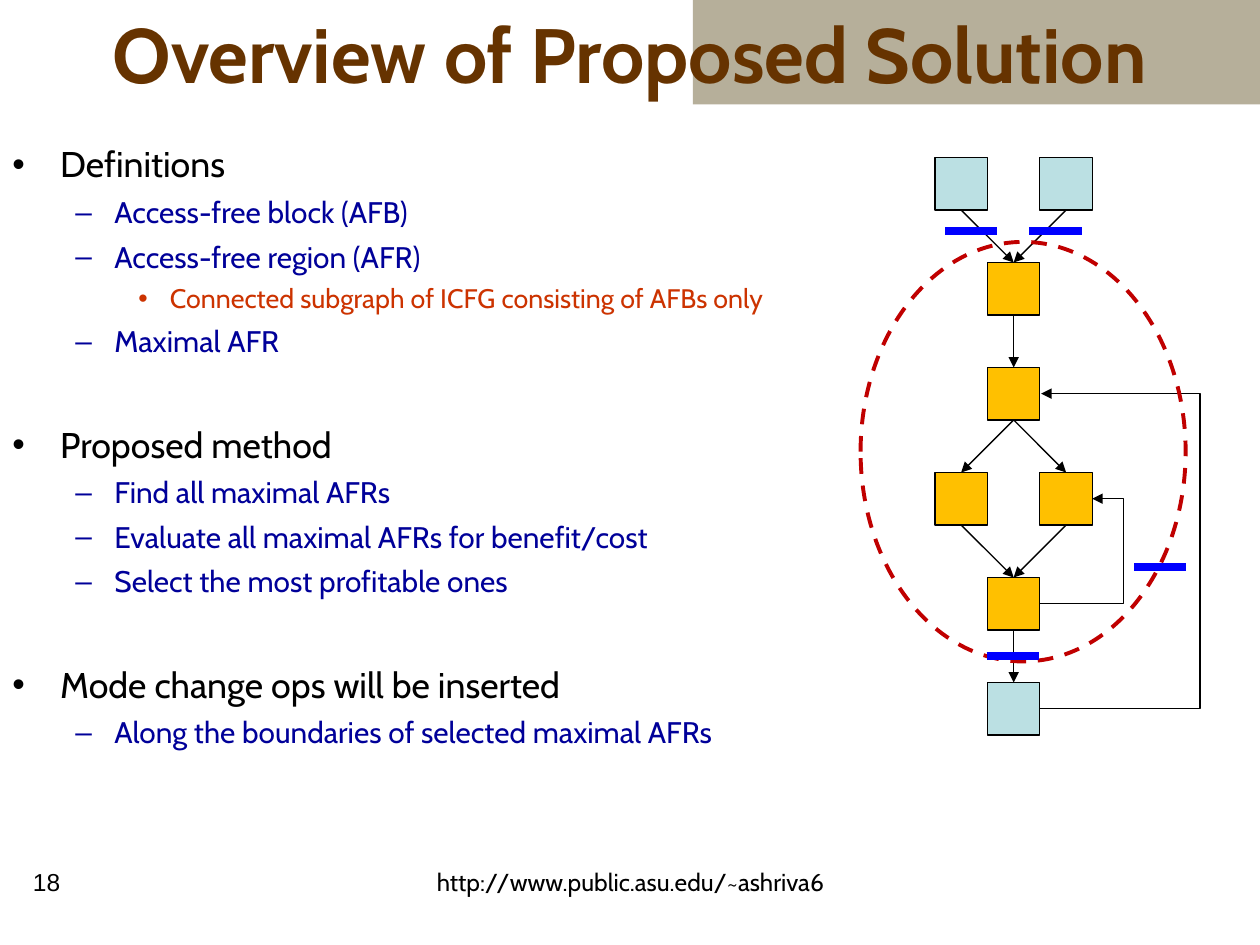
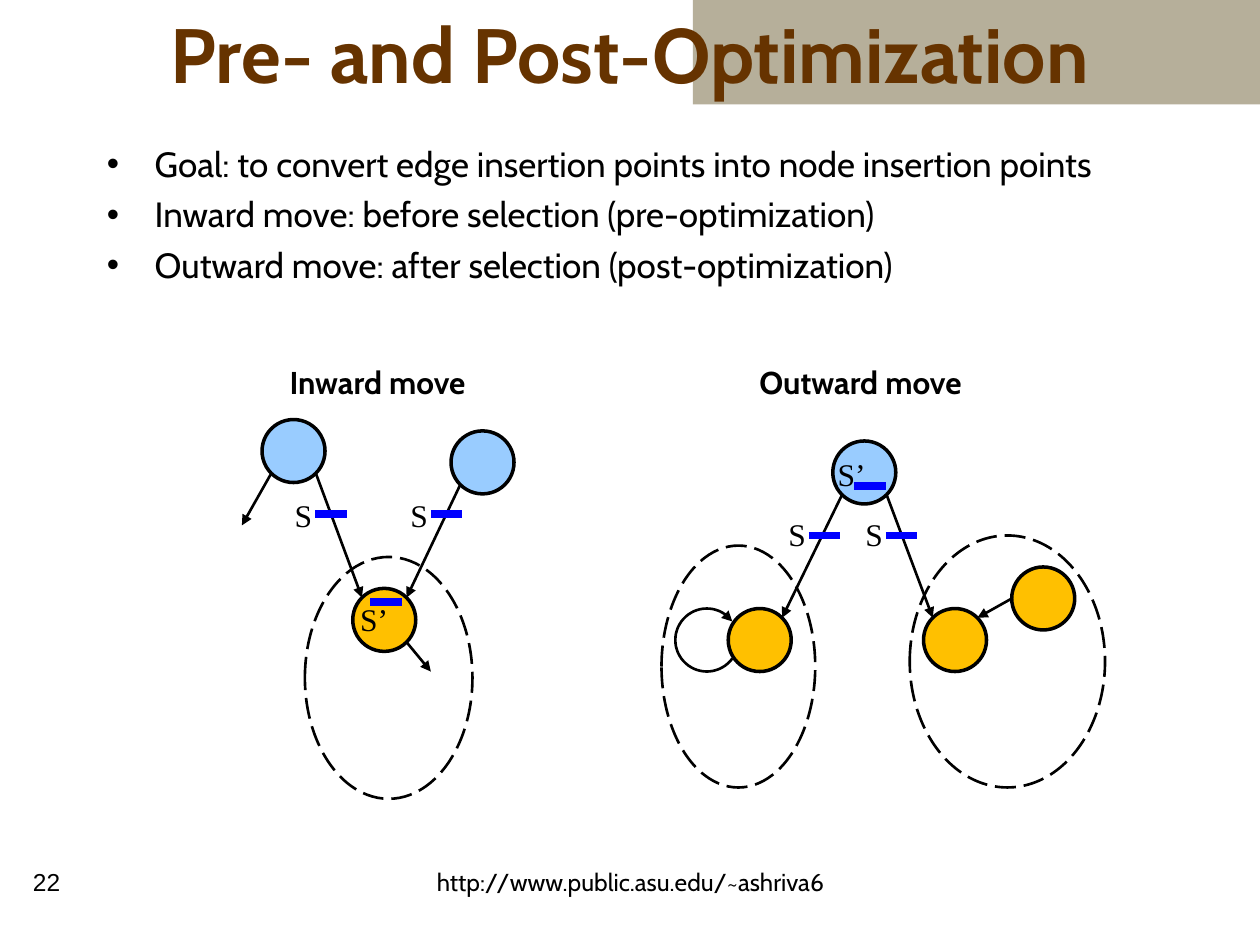
from math import cos, radians, sin

from lxml.etree import SubElement
from pptx import Presentation
from pptx.dml.color import RGBColor
from pptx.enum.dml import MSO_LINE
from pptx.enum.shapes import MSO_CONNECTOR, MSO_SHAPE
from pptx.enum.text import MSO_ANCHOR, PP_ALIGN
from pptx.oxml.ns import qn
from pptx.util import Inches, Pt

BLACK = RGBColor(0x00, 0x00, 0x00)
BROWN = RGBColor(0x66, 0x33, 0x00)
SAND = RGBColor(0xB6, 0xAF, 0x9A)
NAVY = RGBColor(0x00, 0x00, 0x99)
RUST = RGBColor(0xCC, 0x33, 0x00)
RED = RGBColor(0xC0, 0x00, 0x00)
BLUE = RGBColor(0x00, 0x00, 0xFF)
GOLD = RGBColor(0xFF, 0xC0, 0x00)
TEAL = RGBColor(0xBB, 0xE0, 0xE3)
SKY = RGBColor(0x99, 0xCC, 0xFF)

SANS, SERIF, PLAIN = "Cabin", "Times New Roman", "Arial"
CELL = 5 / 12
BALL = 0.5
SITE = "http://www.public.asu.edu/~ashriva6"

MAIN = {"left": 0.38, "hang": 0.38, "mark": "•", "color": BLACK, "size": 20.4, "gap": 6}
SUB = {"left": 0.81, "hang": 0.31, "mark": "–", "color": NAVY, "size": 17, "gap": 5}
DEEP = {"left": 1.25, "hang": 0.25, "mark": "•", "color": RUST, "size": 15.3, "gap": 4.5}
PART = {**MAIN, "gap": 36.5}
GOAL = {**MAIN, "size": 20, "gap": 5}

OUTLINE = [
    (MAIN, "Definitions"),
    (SUB, "Access-free block (AFB)"),
    (SUB, "Access-free region (AFR)"),
    (DEEP, "Connected subgraph of ICFG consisting of AFBs only"),
    (SUB, "Maximal AFR"),
    (PART, "Proposed method"),
    (SUB, "Find all maximal AFRs"),
    (SUB, "Evaluate all maximal AFRs for benefit/cost"),
    (SUB, "Select the most profitable ones"),
    (PART, "Mode change ops will be inserted"),
    (SUB, "Along the boundaries of selected maximal AFRs"),
]
GOALS = [
    (GOAL, "Goal: to convert edge insertion points into node insertion points"),
    (GOAL, "Inward move: before selection (pre-optimization)"),
    (GOAL, "Outward move: after selection (post-optimization)"),
]


def style(item, values):
    """Set each named value on the item."""
    for name, value in values.items():
        setattr(item, name, value)


def ink(font, size, color=BLACK, name=SANS, bold=False):
    """Format a font."""
    style(font, {"size": Pt(size), "name": name, "bold": bold})
    font.color.rgb = color


def stroke(line, color, width, dash=None):
    """Format a line."""
    line.color.rgb = color
    style(line, {"width": Pt(width), "dash_style": dash})


def frame(slide, box, wrap=True, anchor=MSO_ANCHOR.TOP):
    """Add an empty text box and return its frame."""
    text = slide.shapes.add_textbox(*map(Inches, box)).text_frame
    style(text, {"word_wrap": wrap, "vertical_anchor": anchor})
    return text


def label(slide, box, words, size, align=PP_ALIGN.LEFT, wrap=False,
          anchor=MSO_ANCHOR.TOP, **look):
    """Add one line of text."""
    para = frame(slide, box, wrap, anchor).paragraphs[0]
    style(para, {"text": words, "alignment": align})
    ink(para.runs[0].font, size, **look)


def bullets(slide, box, rows):
    """Add a list of bulleted paragraphs."""
    text = frame(slide, box)
    for num, (level, words) in enumerate(rows):
        para = text.add_paragraph() if num else text.paragraphs[0]
        props = para._p.get_or_add_pPr()
        props.set("marL", str(Inches(level["left"])))
        props.set("indent", str(-Inches(level["hang"])))
        tint = SubElement(props, qn("a:buClr"))
        SubElement(tint, qn("a:srgbClr"), val=str(level["color"]))
        SubElement(props, qn("a:buFont"), typeface=PLAIN)
        SubElement(props, qn("a:buChar"), char=level["mark"])
        style(para, {"text": words, "space_before": Pt(level["gap"] if num else 0)})
        ink(para.runs[0].font, level["size"], level["color"])


def solid(slide, kind, box, fill=None, color=None, width=1, dash=None):
    """Add a preset shape with optional fill and outline."""
    shape = slide.shapes.add_shape(kind, *map(Inches, box))
    shape.shadow.inherit = False
    if fill is None:
        shape.fill.background()
    else:
        shape.fill.solid()
        shape.fill.fore_color.rgb = fill
    if color is None:
        shape.line.fill.background()
    else:
        stroke(shape.line, color, width, dash)
    return shape


def point(shape):
    """Put an arrowhead at the end of a line."""
    SubElement(shape.line._get_or_add_ln(), qn("a:tailEnd"), type="triangle")


def wire(slide, start, end, color=BLACK, width=0.75, head=True, bend=None):
    """Add a straight or bent connector."""
    kind = MSO_CONNECTOR.STRAIGHT if bend is None else MSO_CONNECTOR.ELBOW
    line = slide.shapes.add_connector(kind, *map(Inches, (*start, *end)))
    stroke(line.line, color, width)
    if head:
        point(line)
    props = line._element.spPr
    SubElement(props, qn("a:effectLst"))
    if bend is not None:
        guides = props.find(qn("a:prstGeom")).get_or_add_avLst()
        SubElement(guides, qn("a:gd"), name="adj1", fmla=f"val {round(bend * 100000)}")
    return line


def bar(slide, x, y, width):
    """Add a blue mark for an insertion point."""
    wire(slide, (x, y), (x + width, y), BLUE, 4.5, False)


def base(deck, title, number):
    """Add a slide with the shared band, title and footer."""
    slide = deck.slides.add_slide(deck.slide_layouts[6])
    solid(slide, MSO_SHAPE.RECTANGLE, (5.5, 0, 4.5, 0.83), SAND)
    mid = {"align": PP_ALIGN.CENTER, "wrap": True}
    label(slide, (0.75, 0, 8.5, 0.83), title, 44, anchor=MSO_ANCHOR.MIDDLE,
          color=BROWN, bold=True, **mid)
    label(slide, (2.67, 6.83, 4.67, 0.5), SITE, 14, **mid)
    label(slide, (0.08, 6.83, 0.58, 0.5), number, 14, name=PLAIN, **mid)
    return slide


def graph(slide, left, top):
    """Draw the flow graph with its access-free region."""
    spots = {"in1": (0, 0), "in2": (2, 0), "head": (1, 1), "fork": (1, 2),
             "yes": (0, 3), "no": (2, 3), "join": (1, 4), "out": (1, 5)}
    nodes = {}
    for name, (col, row) in spots.items():
        box = (left + col * CELL, top + row * 2 * CELL, CELL, CELL)
        fill = TEAL if row in (0, 5) else GOLD
        nodes[name] = solid(slide, MSO_SHAPE.RECTANGLE, box, fill, BLACK, 0.75)
    edges = ["in1 head", "in2 head", "head fork", "fork yes", "fork no",
             "yes join", "no join", "join out"]
    for edge in edges:
        start, end = edge.split()
        line = wire(slide, (left, top), (left, top))
        line.begin_connect(nodes[start], 2)
        line.end_connect(nodes[end], 0)

    def side(name):
        """Give the middle of a node's right side."""
        col, row = spots[name]
        return left + (col + 1) * CELL, top + (2 * row + 0.5) * CELL

    wire(slide, side("join"), side("no"), bend=1.6)
    x, y = side("fork")
    wire(slide, side("out"), (x + 0.01, y), bend=129)
    solid(slide, MSO_SHAPE.OVAL, (left - 0.59, top + 0.67, 2.58, 3.33),
          None, RED, 2.25, MSO_LINE.DASH)
    for x, y in [(0.08, 0.58), (0.75, 0.58), (1.58, 3.25), (0.41, 3.96)]:
        bar(slide, left + x, top + y, CELL)


def ball(slide, spot, fill):
    """Draw a round node."""
    solid(slide, MSO_SHAPE.OVAL, (*spot, BALL, BALL), fill, BLACK, 2)


def region(slide, box):
    """Draw a dashed region."""
    solid(slide, MSO_SHAPE.OVAL, box, None, BLACK, 1.5, MSO_LINE.LONG_DASH)


def rim(spot, across, down):
    """Give a diagonal point on a round node's rim."""
    reach = BALL / 2 * cos(radians(45))
    return spot[0] + BALL / 2 + across * reach, spot[1] + BALL / 2 + down * reach


def arrow(slide, start, end):
    """Draw an arrow between points."""
    wire(slide, start, end, width=1.5)


def loop(slide, x, y):
    """Draw a round arrow about a centre."""
    dots = [(Inches(x + BALL / 2 * cos(radians(turn))),
             Inches(y + BALL / 2 * sin(radians(turn)))) for turn in range(36, 325, 6)]
    pen = slide.shapes.build_freeform(*dots[0])
    pen.add_line_segments(dots[1:], close=False)
    shape = pen.convert_to_shape()
    shape.shadow.inherit = False
    shape.fill.background()
    stroke(shape.line, BLACK, 1.5)
    point(shape)


def tag(slide, x, y, words, dx, dy):
    """Draw a mark with its letter."""
    bar(slide, x, y, 0.25)
    label(slide, (x + dx, y + dy, 0.42 if len(words) > 1 else 0.34, 0.4),
          words, 18, name=SERIF)


def inward(slide, left, top):
    """Draw the inward move."""
    label(slide, (left + 0.28, top, 1.85, 0.4), "Inward move", 18, bold=True)
    region(slide, (left + 0.5, top + 1.59, 1.33, 1.92))
    one, two = (left + 0.16, top + 0.5), (left + 1.66, top + 0.59)
    goal = (left + 0.88, top + 1.84)
    for spot, fill in [(one, SKY), (two, SKY), (goal, GOLD)]:
        ball(slide, spot, fill)
    arrow(slide, rim(one, -1, 1), (left, top + 1.34))
    arrow(slide, rim(one, 1, 1), rim(goal, -1, -1))
    arrow(slide, rim(two, -1, 1), rim(goal, 1, -1))
    arrow(slide, rim(goal, 1, 1), (left + 1.5, top + 2.5))
    tag(slide, left + 1.02, top + 1.95, "S’", -0.18, -0.07)
    for x in (0.58, 1.5):
        tag(slide, left + x, top + 1.25, "S", -0.26, -0.19)


def outward(slide, left, top):
    """Draw the outward move."""
    label(slide, (left + 0.55, top, 2.06, 0.4), "Outward move", 18,
          PP_ALIGN.CENTER, bold=True)
    region(slide, (left + 1.97, top + 1.42, 1.55, 2))
    region(slide, (left, top + 1.5, 1.22, 1.92))
    root, one = (left + 1.36, top + 0.67), (left + 0.53, top + 2)
    two, last = (left + 2.08, top + 2), (left + 2.78, top + 1.67)
    for spot, fill in [(root, SKY), (one, GOLD), (two, GOLD), (last, GOLD)]:
        ball(slide, spot, fill)
    arrow(slide, rim(root, -1, 1), rim(one, 1, -1))
    arrow(slide, rim(root, 1, 1), rim(two, -1, -1))
    arrow(slide, (last[0], last[1] + BALL / 2), rim(two, 1, -1))
    loop(slide, left + 0.36, top + 2.25)
    tag(slide, left + 1.53, top + 1.03, "S’", -0.23, -0.3)
    for x in (1.17, 1.78):
        tag(slide, left + x, top + 1.42, "S", -0.26, -0.21)


def main():
    """Build and save the deck."""
    deck = Presentation()
    style(deck, {"slide_width": Inches(10), "slide_height": Inches(7.5)})
    slide = base(deck, "Overview of Proposed Solution", "18")
    bullets(slide, (0, 1.08, 7.17, 5.25), OUTLINE)
    graph(slide, 7.42, 1.25)
    slide = base(deck, "Pre- and Post-Optimization", "22")
    bullets(slide, (0.75, 1.08, 8.5, 4.5), GOALS)
    inward(slide, 1.92, 2.83)
    outward(slide, 5.25, 2.83)
    deck.save("out.pptx")


if __name__ == "__main__":
    main()
